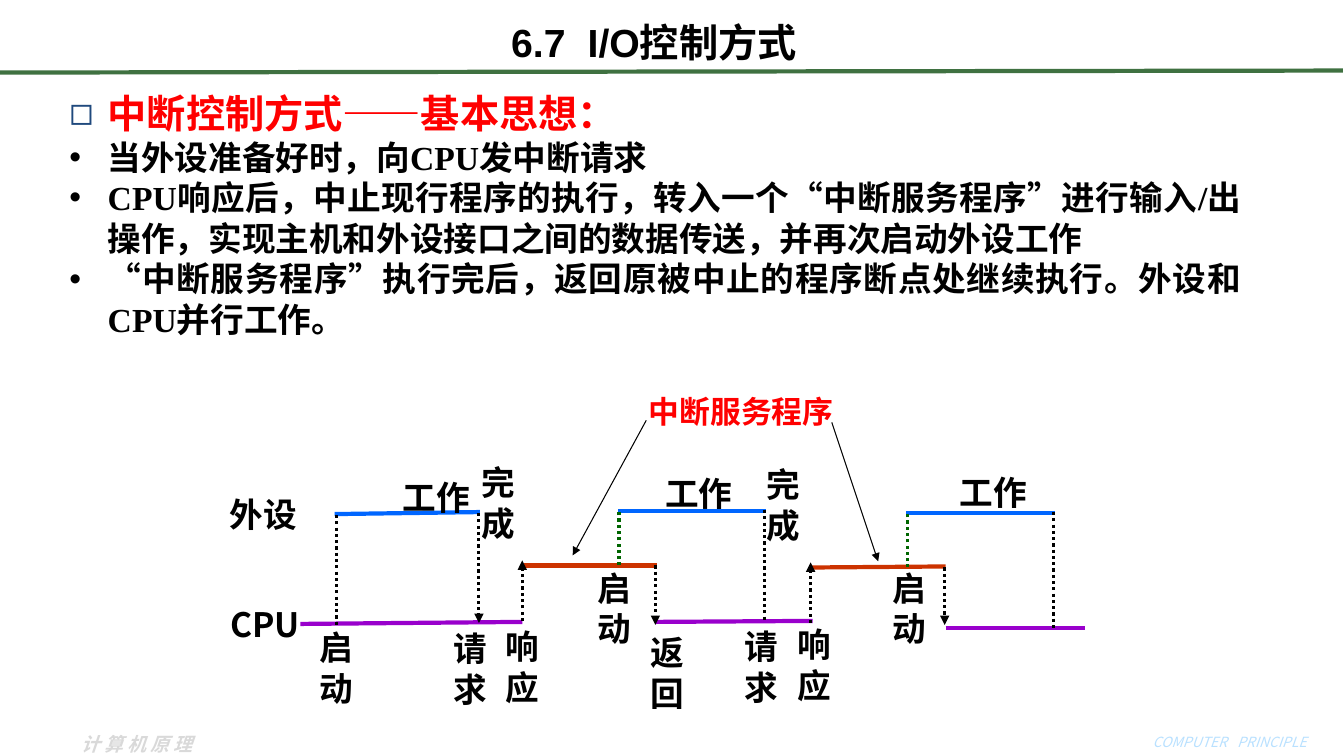
from lxml import etree
from pptx import Presentation
from pptx.dml.color import RGBColor
from pptx.enum.dml import MSO_LINE
from pptx.enum.shapes import MSO_CONNECTOR
from pptx.enum.text import MSO_ANCHOR, PP_ALIGN
from pptx.oxml.ns import qn
from pptx.util import Inches, Pt

STRAIGHT = MSO_CONNECTOR.STRAIGHT
DOTTED = MSO_LINE.ROUND_DOT
TOP, MIDDLE = MSO_ANCHOR.TOP, MSO_ANCHOR.MIDDLE
LEFT, CENTER, JUSTIFY = PP_ALIGN.LEFT, PP_ALIGN.CENTER, PP_ALIGN.JUSTIFY

BLACK, RED, NAVY = "000000", "FF0000", "1F497D"
DEVICE, CPU, SERVICE, RESTART = "0066FF", "9900CC", "CC3300", "006600"
CJK, CJK_LABEL = "Noto Sans CJK SC", "Noto Sans CJK JP"


def rgb(value):
    return RGBColor.from_string(value)


def sub(parent, tag, **attributes):
    return etree.SubElement(parent, qn(tag), attributes)


class SlideBuilder:
    def __init__(self, s):
        self.s = s

    def run(self, p, text, size=24, color=BLACK, latin=CJK, east=CJK,
            bold=True, italic=False, spacing=0):
        r = p.add_run()
        r.text = text
        r.font.size = Pt(size)
        r.font.bold = bold
        r.font.italic = italic
        r.font.name = latin
        r.font.color.rgb = rgb(color)
        rPr = r.font._element
        sub(rPr, "a:ea", typeface=east)
        if spacing:
            rPr.set("spc", str(int(spacing * 100)))

    def box(self, x, y, w, h, anchor=MIDDLE):
        tf = self.s.shapes.add_textbox(
            Inches(x), Inches(y), Inches(w), Inches(h)).text_frame
        tf.word_wrap = True
        tf.vertical_anchor = anchor
        if anchor == TOP:
            tf.margin_top, tf.margin_bottom = Inches(0.08), Inches(0.02)
        return tf

    def heading(self, x, y, w, h, text, gap=0, align=CENTER, **style):
        """One line of text; gap widens its single space, in points."""
        p = self.box(x, y, w, h).paragraphs[0]
        p.alignment = align
        first, space, rest = text.partition(" ")
        self.run(p, first, **style)
        if space:
            self.run(p, space, spacing=gap, **style)
            self.run(p, rest, **style)

    def label(self, x, y, w, h, text, size=24, color=BLACK):
        p = self.box(x, y, w, h, TOP).paragraphs[0]
        p.alignment = CENTER
        p.line_spacing = Pt(round(size * 1.21))
        self.run(p, text, size, color, CJK_LABEL, CJK_LABEL)

    def bullets(self, x, y, w, h, items):
        tf = self.box(x, y, w, h, TOP)
        for i, (mark, mark_color, text, size, color) in enumerate(items):
            p = tf.add_paragraph() if i else tf.paragraphs[0]
            pPr = p._p.get_or_add_pPr()
            pPr.set("marL", str(Inches(0.38)))
            pPr.set("indent", str(-Inches(0.38)))
            sub(sub(pPr, "a:buClr"), "a:srgbClr", val=mark_color)
            sub(pPr, "a:buFont", typeface="Arial")
            sub(pPr, "a:buChar", char=mark)
            p.alignment = JUSTIFY
            p.line_spacing = Pt(round(size * 1.21))
            self.run(p, text, size, color, "Times New Roman")

    def line(self, x1, y1, x2, y2, color=BLACK, width=3, dotted=False, arrow=False):
        c = self.s.shapes.add_connector(
            STRAIGHT, Inches(x1), Inches(y1), Inches(x2), Inches(y2))
        c.line.color.rgb = rgb(color)
        c.line.width = Pt(width)
        if dotted:
            c.line.dash_style = DOTTED
        if arrow:
            sub(c.line._get_or_add_ln(), "a:tailEnd", type="triangle")
        sub(c._element.spPr, "a:effectLst")


def main():
    prs = Presentation()
    prs.slide_width, prs.slide_height = Inches(13.33), Inches(7.5)
    b = SlideBuilder(prs.slides.add_slide(prs.slide_layouts[6]))

    b.line(0, 0.72, 13.32, 0.7, "3F7141")
    b.heading(11.07, 7.23, 2.25, 0.27, "COMPUTER PRINCIPLE", gap=5,
              size=10, color="B9E1FF", bold=False, italic=True)
    b.heading(0.71, 7.21, 1.46, 0.34, "计算机原理", align=LEFT,
              size=13.5, color="D9D9D9", italic=True, spacing=3)
    b.heading(0.68, 0.13, 11.61, 0.57, "6.7 I/O控制方式", gap=8,
              size=28, latin="Arial")

    points = [
        "当外设准备好时，向CPU发中断请求",
        "CPU响应后，中止现行程序的执行，转入一个“中断服务程序”进行输入/出操作，"
        "实现主机和外设接口之间的数据传送，并再次启动外设工作",
        "“中断服务程序”执行完后，返回原被中止的程序断点处继续执行。外设和CPU并行工作。",
    ]
    b.bullets(0.59, 0.8, 11.82, 2.24,
              [("◻", NAVY, "中断控制方式——基本思想：", 28, RED)]
              + [("•", BLACK, point, 24, BLACK) for point in points])

    # Activity levels of the device, the CPU and the service routine
    levels = {
        CPU: [(2.98, 6.19, 5.18, 6.17), (6.5, 6.17, 8.06, 6.16),
              (9.38, 6.23, 10.76, 6.23)],
        DEVICE: [(3.32, 5.1, 4.76, 5.08), (6.13, 5.07, 7.6, 5.07),
                 (8.99, 5.09, 10.46, 5.09)],
        SERVICE: [(5.2, 5.61, 6.52, 5.61), (8.05, 5.63, 9.38, 5.62)],
    }
    for color, segments in levels.items():
        for segment in segments:
            b.line(*segment, color)

    # Dotted transitions: x, start y, end y, colour, arrow
    for x, y1, y2, color, arrow in [
            (3.34, 5.11, 6.2, BLACK, False), (7.58, 5.06, 6.15, BLACK, False),
            (10.45, 5.08, 6.23, BLACK, False),
            (6.14, 5.61, 5.06, RESTART, False), (9, 5.63, 5.08, RESTART, False),
            (4.75, 5.09, 6.18, BLACK, True), (5.18, 6.16, 5.56, BLACK, True),
            (6.5, 5.61, 6.2, BLACK, True), (8.04, 6.18, 5.58, BLACK, True),
            (9.37, 5.63, 6.2, BLACK, True)]:
        b.line(x, y1, x, y2, color, 2.25, dotted=True, arrow=arrow)

    # Label text, width, height and positions
    for text, w, h, places in [
            ("外设", 0.94, 0.5, [(2.14, 4.82)]),
            ("CPU", 0.94, 0.5, [(2.16, 5.91)]),
            ("工作", 1.16, 0.5, [(3.75, 4.65), (6.35, 4.61), (9.27, 4.6)]),
            ("完成", 0.5, 0.91, [(4.68, 4.5), (7.5, 4.52)]),
            ("启动", 0.54, 0.91, [(3.07, 6.14), (5.82, 5.55), (8.75, 5.55)]),
            ("请求", 0.57, 0.91, [(4.38, 6.15), (7.27, 6.13)]),
            ("响应", 0.57, 0.91, [(4.9, 6.13), (7.79, 6.11)]),
            ("返回", 0.57, 0.91, [(6.33, 6.19)])]:
        for x, y in places:
            b.label(x, y, w, h, text)

    b.label(5.96, 3.81, 2.78, 0.47, "中断服务程序", 22, RED)
    b.line(6.41, 4.17, 5.68, 5.51, width=0.75, arrow=True)
    b.line(8.25, 4.19, 8.71, 5.57, width=0.75, arrow=True)

    prs.save("out.pptx")


if __name__ == "__main__":
    main()
